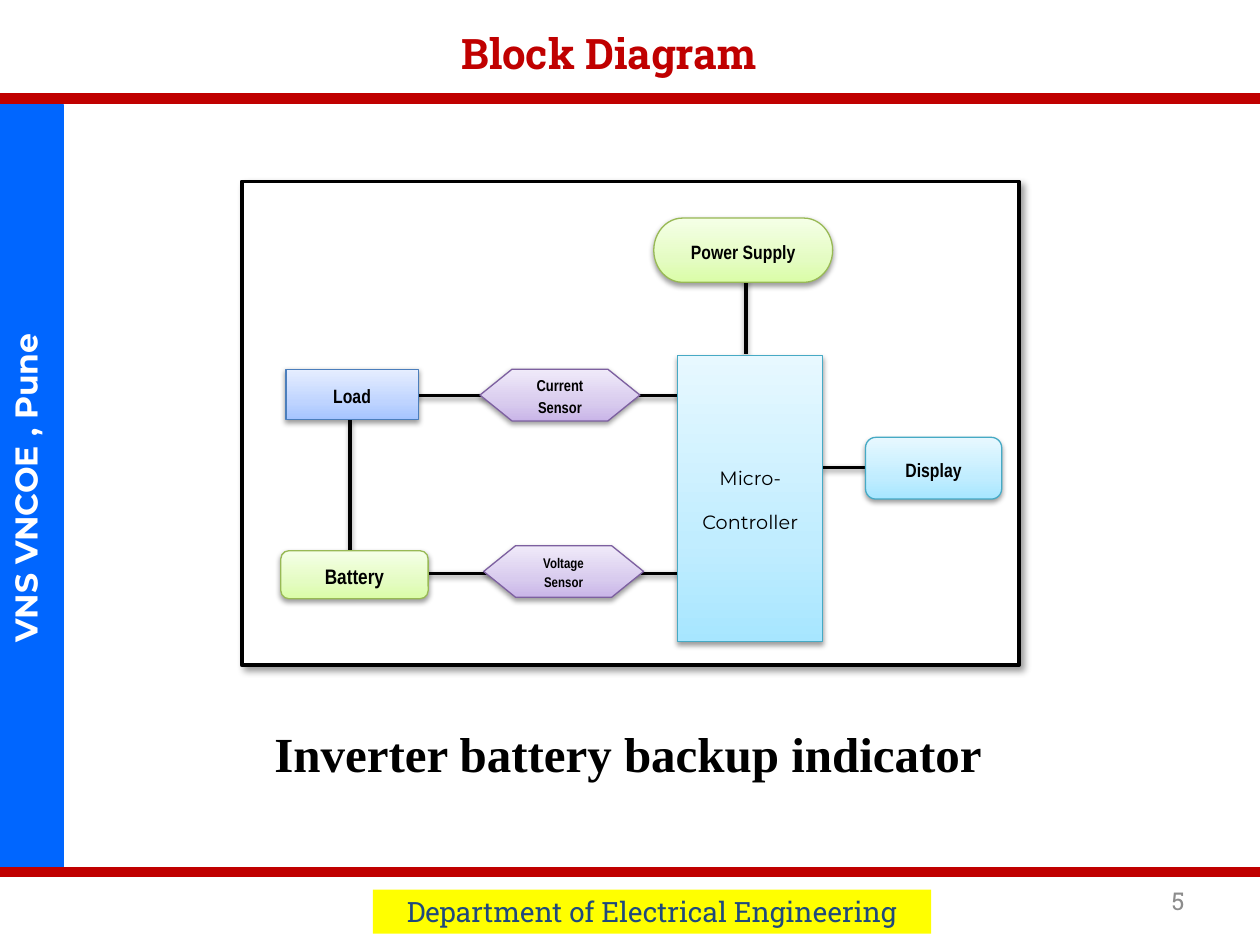
from lxml.etree import SubElement
from pptx import Presentation
from pptx.dml.color import RGBColor
from pptx.enum.shapes import MSO_CONNECTOR as Connector, MSO_SHAPE as Shape
from pptx.enum.text import MSO_ANCHOR as Anchor, PP_ALIGN as Align
from pptx.oxml.ns import qn
from pptx.util import Pt

BLACK, RED, BLUE, YELLOW = "000000", "C00000", "0066FF", "FFFF00"
SLAB, SANS, NARROW, SERIF = "Roboto Slab", "Montserrat", "Arial Narrow", "Times New Roman"
SOFT = (38, 3.1, 1.6, 90)
FRAME_SHADOW = (40, 4, 3, 45)
AQUA = ("A7E6FF", "C1EDFF", "E7F8FF", "46AAC5")
GREEN = ("DAFDA7", "E4FCC2", "F5FFE7", "98B955")
INDIGO = ("A4C4FF", "BFD4FF", "E6EEFF", "4B7EBC")
PURPLE = ("C9B5E8", "D8CBEE", "F0EAF9", "7D60A0")


def color(value):
    return RGBColor.from_string(value)


def set_shadow(props, shadow=None):
    effects = SubElement(props, qn("a:effectLst"))
    if shadow:
        alpha, blur, distance, angle = shadow
        outer = SubElement(effects, qn("a:outerShdw"), blurRad=str(Pt(blur)),
                           dist=str(Pt(distance)), dir=str(angle * 60000),
                           algn="ctr", rotWithShape="0")
        tint = SubElement(outer, qn("a:srgbClr"), val=BLACK)
        SubElement(tint, qn("a:alpha"), val=str(alpha * 1000))


def set_gradient(fill, props, tones):
    fill.gradient()
    fill.gradient_angle = 90
    stops = props.find(qn("a:gradFill")).find(qn("a:gsLst"))
    for stop in list(stops):
        stops.remove(stop)
    for position, tone in zip((0, 35, 100), tones):
        stop = SubElement(stops, qn("a:gs"), pos=str(position * 1000))
        SubElement(stop, qn("a:srgbClr"), val=tone)


def write(frame, lines, size, font, ink=BLACK, bold=False, align=Align.CENTER,
          anchor=Anchor.TOP, spacing=None, after=0):
    frame.word_wrap = True
    frame.vertical_anchor = anchor
    for index, line in enumerate(lines):
        paragraph = frame.add_paragraph() if index else frame.paragraphs[0]
        paragraph.alignment = align
        paragraph.space_after = Pt(after)
        if spacing:
            paragraph.line_spacing = spacing
        run = paragraph.add_run()
        run.text = line
        run.font.size, run.font.name, run.font.bold = Pt(size), font, bold
        run.font.color.rgb = color(ink)


def add_panel(slide, kind, box, fill, line=None, width=0.75, shadow=None):
    panel = slide.shapes.add_shape(kind, *map(Pt, box))
    props = panel._element.spPr
    if isinstance(fill, tuple):
        set_gradient(panel.fill, props, fill)
    else:
        panel.fill.solid()
        panel.fill.fore_color.rgb = color(fill)
    if line:
        panel.line.color.rgb = color(line)
        panel.line.width = Pt(width)
    else:
        panel.line.fill.background()
    if shadow:
        set_shadow(props, shadow)
    else:
        panel.shadow.inherit = False
    return panel


def add_line(slide, start, end, ink, width, shadow=None):
    line = slide.shapes.add_connector(Connector.STRAIGHT, *map(Pt, start + end))
    line.line.color.rgb = color(ink)
    line.line.width = Pt(width)
    set_shadow(line._element.spPr, shadow)


def add_label(slide, box, text, size, font, **style):
    label = slide.shapes.add_textbox(*map(Pt, box))
    write(label.text_frame, [text], size, font, **style)


def add_header(slide, left, top, width, height):
    rule = top + height
    add_line(slide, (left, rule), (left + width, rule), RED, 6)
    add_label(slide, (left + 174.2, top + 12.2, 347.8, 36), "Block Diagram", 24, SLAB,
              ink=RED, bold=True)


def add_sidebar(slide, *box):
    sidebar = add_panel(slide, Shape.RECTANGLE, box, BLUE, BLUE)
    write(sidebar.text_frame, ["VNS VNCOE , Pune"], 18, SANS, "FFFFFF", True)
    sidebar.text_frame._txBody.bodyPr.set("vert", "vert270")


def add_footer(slide, left, top, width, height):
    add_line(slide, (left, top), (left + width, top), RED, 6)
    department = add_panel(slide, Shape.RECTANGLE,
                           (left + 213.1, top + 10.1, 319, 25.2), YELLOW)
    frame = department.text_frame
    frame.margin_left = frame.margin_right = Pt(5.8)
    frame.margin_top = frame.margin_bottom = Pt(2.9)
    write(frame, ["Department of Electrical Engineering"], 16, SLAB, "1F497D")
    add_label(slide, (left + 516.2, top + 2.2, 167.8, 28.8), "5", 14, SLAB,
              ink="8C8C8C", align=Align.RIGHT, anchor=Anchor.MIDDLE)


def add_diagram(slide, left, top, width, height):
    add_panel(slide, Shape.RECTANGLE, (left, top, width, height), "FFFFFF", BLACK, 2,
              FRAME_SHADOW)
    load_row, battery_row, display_row = 122.4, 223.9, 163.4
    load_column, supply_column = 61.9, 288
    links = [
        (220.3, battery_row, 249.8, battery_row),
        (220.3, load_row, 252, load_row),
        (331.9, display_row, 362.2, display_row),
        (100.1, load_row, 144, load_row),
        (103, battery_row, 146.2, battery_row),
        (load_column, 136.1, load_column, 213.1),
        (supply_column, 52.6, supply_column, 98.6),
    ]
    for x1, y1, x2, y2 in links:
        add_line(slide, (left + x1, top + y1), (left + x2, top + y2), BLACK, 2, SOFT)

    rounded, hexagon = Shape.FLOWCHART_ALTERNATE_PROCESS, Shape.FLOWCHART_PREPARATION
    blocks = [
        (Shape.RECTANGLE, (249.1, 99.4, 82.8, 163.4), AQUA,
         ["Micro-", "Controller"], 11, SANS, 10),
        (rounded, (356.4, 146.2, 77.8, 35.3), AQUA, ["Display"], 11, NARROW, 10),
        (rounded, (22.3, 211, 84.2, 27.4), GREEN, ["Battery"], 12, NARROW, 10),
        (Shape.FLOWCHART_TERMINATOR, (235.4, 20.9, 102.2, 36.7), GREEN,
         ["Power Supply"], 11, NARROW, 10),
        (Shape.RECTANGLE, (25.2, 107.3, 75.6, 28.8), INDIGO, ["Load"], 11, NARROW, 0),
        (hexagon, (138.2, 208.1, 91.4, 29.5), PURPLE, ["Voltage", "Sensor"], 8, NARROW, 0),
        (hexagon, (136.1, 107.3, 91.4, 29.5), PURPLE, ["Current", "Sensor"], 9, NARROW, 0),
    ]
    for kind, (x, y, w, h), (*tones, edge), lines, size, font, after in blocks:
        block = add_panel(slide, kind, (left + x, top + y, w, h), tuple(tones), edge,
                          shadow=SOFT)
        write(block.text_frame, lines, size, font, bold=font == NARROW,
              anchor=Anchor.MIDDLE, spacing=1.15, after=after)


def build():
    deck = Presentation()
    deck.slide_width, deck.slide_height = Pt(720), Pt(540)
    slide = deck.slides.add_slide(deck.slide_layouts[6])
    add_header(slide, 0, 0, 720, 56.2)
    add_sidebar(slide, 0, 59.8, 36, 437.8)
    add_footer(slide, 0, 498.2, 720, 41.8)
    add_label(slide, (145.4, 409.7, 427, 41), "Inverter battery backup indicator", 28,
              SERIF, bold=True)
    add_diagram(slide, 138.2, 103.7, 444.2, 276.5)
    deck.save("out.pptx")


build()
